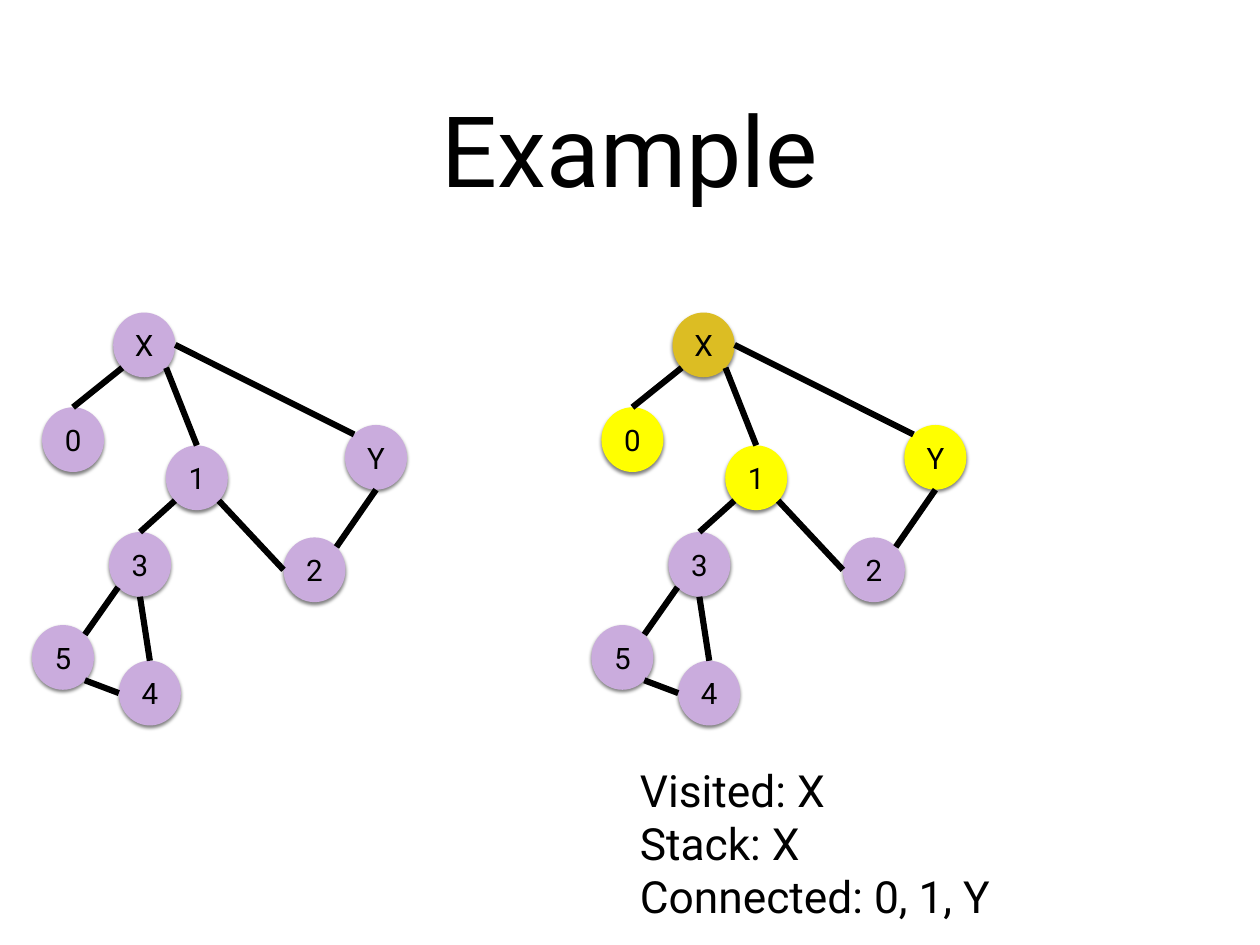
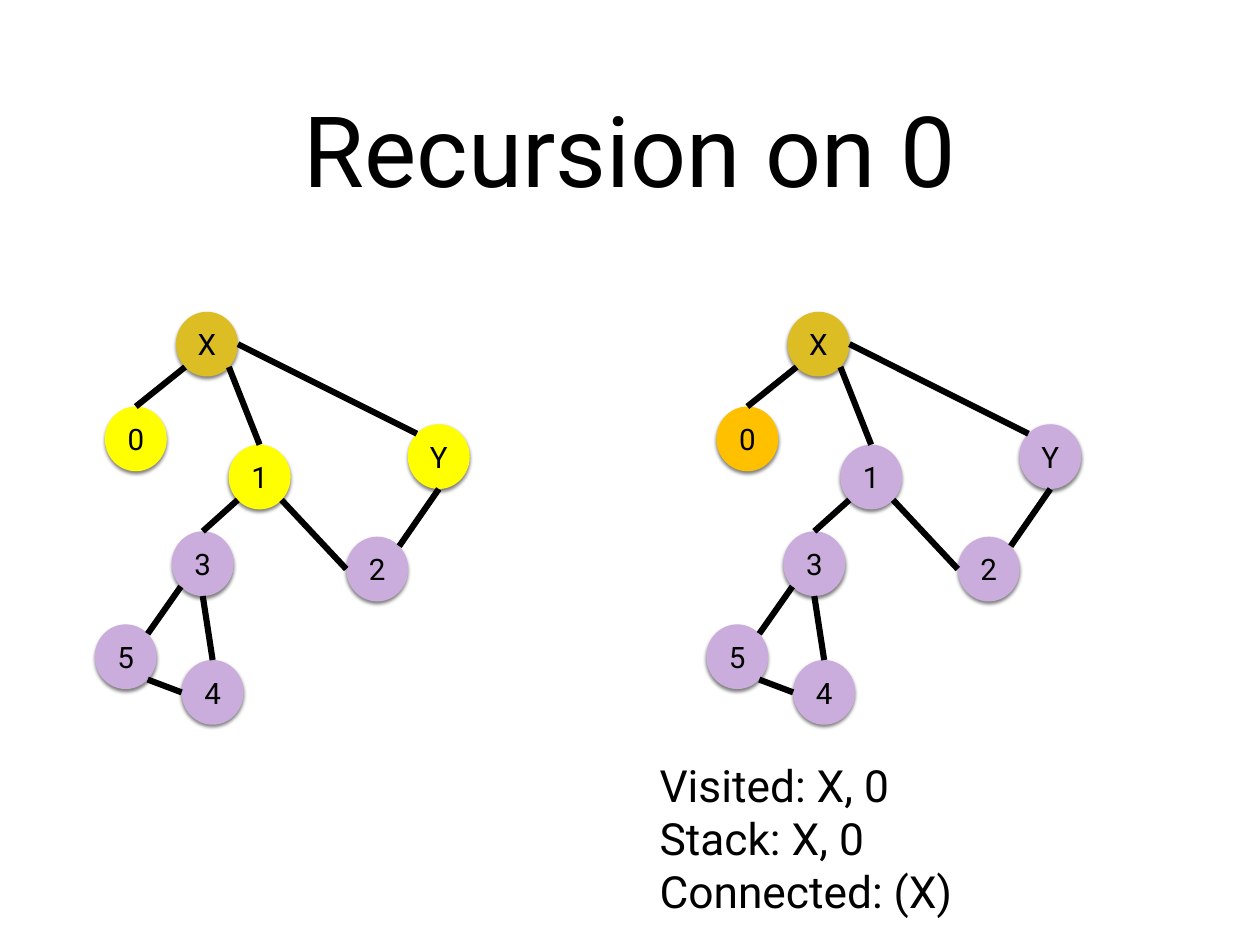
from math import cos, radians, sin

from lxml import etree
from pptx import Presentation
from pptx.dml.color import RGBColor
from pptx.enum.shapes import MSO_CONNECTOR, MSO_SHAPE
from pptx.enum.text import MSO_ANCHOR, MSO_AUTO_SIZE, PP_ALIGN
from pptx.oxml.ns import qn
from pptx.util import Pt

OVAL = MSO_SHAPE.OVAL
LINE = MSO_CONNECTOR.STRAIGHT
MIDDLE = MSO_ANCHOR.MIDDLE
LEFT, CENTER = PP_ALIGN.LEFT, PP_ALIGN.CENTER
GROW, FIXED = MSO_AUTO_SIZE.SHAPE_TO_FIT_TEXT, MSO_AUTO_SIZE.NONE

BLACK = RGBColor(0x00, 0x00, 0x00)
LILAC = RGBColor(0xCA, 0xAC, 0xDD)
YELLOW = RGBColor(0xFF, 0xFF, 0x00)
GOLD = RGBColor(0xDC, 0xBD, 0x23)
ORANGE = RGBColor(0xFF, 0xC0, 0x00)

FONT = "Roboto"
WIDE, HIGH = 50.4, 52.6

# Top left corner of each node, within its graph
NODES = {
    "1": (108.8, 108), "3": (62.6, 178.4), "2": (204.4, 182.8), "5": (0, 254),
    "4": (70.6, 283), "X": (66, 0), "0": (8.2, 77), "Y": (254.4, 91.4),
}

# Angles on a node's rim, clockwise from the right
EAST, SE, SOUTH, SW, WEST, NW, NORTH, NE = range(0, 360, 45)
EDGES = [
    ("3", SOUTH, "4", NORTH), ("1", SW, "3", NORTH), ("2", NE, "Y", SOUTH),
    ("1", SE, "2", WEST), ("X", SE, "1", NORTH), ("X", EAST, "Y", NW),
    ("3", SW, "5", NE), ("0", NORTH, "X", SW), ("5", SE, "4", WEST),
]

FRESH = {}
FIRST = {"X": GOLD, "0": YELLOW, "1": YELLOW, "Y": YELLOW}
SECOND = {"X": GOLD, "0": ORANGE}

# Title, graphs (left, top, node colours), note position, note lines
SLIDES = [
    ("Example", [(26, 254, FRESH), (480.6, 254, FIRST)],
     (516, 615.6), ["Visited: X", "Stack: X", "Connected: 0, 1, Y"]),
    ("Recursion on 0", [(77, 253.4, FIRST), (574, 253.4, SECOND)],
     (532, 611.4), ["Visited: X, 0", "Stack: X, 0", "Connected: (X)"]),
]


def write(shape, lines, size=24, align=CENTER, fit=GROW):
    frame = shape.text_frame
    frame.text = "\n".join(lines)
    frame.word_wrap = True
    frame.auto_size = fit
    frame.vertical_anchor = MIDDLE
    frame.margin_left = frame.margin_right = Pt(4)
    frame.margin_top = frame.margin_bottom = Pt(4)
    for para in frame.paragraphs:
        para.alignment = align
        para.font.name = FONT
        para.font.size = Pt(size)
        para.font.color.rgb = BLACK


def effects(shape):
    """Give the shape an empty effect list, which hides the theme shadow."""
    return etree.SubElement(shape._element.spPr, qn("a:effectLst"))


def shade(shape):
    """Add a soft black shadow below the shape."""
    drop = etree.SubElement(effects(shape), qn("a:outerShdw"),
                            blurRad=str(Pt(3)), dist=str(Pt(2)),
                            dir="5400000", rotWithShape="0")
    tint = etree.SubElement(drop, qn("a:srgbClr"), val=str(BLACK))
    etree.SubElement(tint, qn("a:alpha"), val="50000")


def rim(name, angle):
    """Return the point on a node's outline at the given angle."""
    left, top = NODES[name]
    turn = radians(angle)
    return (left + WIDE / 2 * (1 + cos(turn)),
            top + HIGH / 2 * (1 + sin(turn)))


class Deck:
    def __init__(self):
        self.prs = Presentation()
        self.prs.slide_width, self.prs.slide_height = Pt(1024), Pt(768)

    def start(self, title):
        self.slide = self.prs.slides.add_slide(self.prs.slide_layouts[5])
        self.shapes = self.slide.shapes
        head = self.shapes.title
        head.left, head.top = Pt(75), Pt(35)
        head.width, head.height = Pt(874), Pt(170)
        write(head, [title], size=80, fit=FIXED)

    def node(self, name, left, top, fill):
        oval = self.shapes.add_shape(OVAL, Pt(left), Pt(top), Pt(WIDE), Pt(HIGH))
        oval.fill.solid()
        oval.fill.fore_color.rgb = fill
        oval.line.fill.background()
        shade(oval)
        write(oval, [name])

    def edge(self, x1, y1, x2, y2):
        line = self.shapes.add_connector(LINE, Pt(x1), Pt(y1), Pt(x2), Pt(y2))
        line.line.color.rgb = BLACK
        line.line.width = Pt(5)
        effects(line)

    def graph(self, left, top, fills):
        for name, (x, y) in NODES.items():
            self.node(name, left + x, top + y, fills.get(name, LILAC))
        for tail, out, head, into in EDGES:
            x1, y1 = rim(tail, out)
            x2, y2 = rim(head, into)
            self.edge(left + x1, top + y1, left + x2, top + y2)

    def note(self, left, top, lines):
        box = self.shapes.add_textbox(Pt(left), Pt(top), Pt(326), Pt(139))
        write(box, lines, size=36, align=LEFT)


def main():
    deck = Deck()
    for title, graphs, spot, lines in SLIDES:
        deck.start(title)
        for graph in graphs:
            deck.graph(*graph)
        deck.note(*spot, lines)
    deck.prs.save("out.pptx")


if __name__ == "__main__":
    main()
